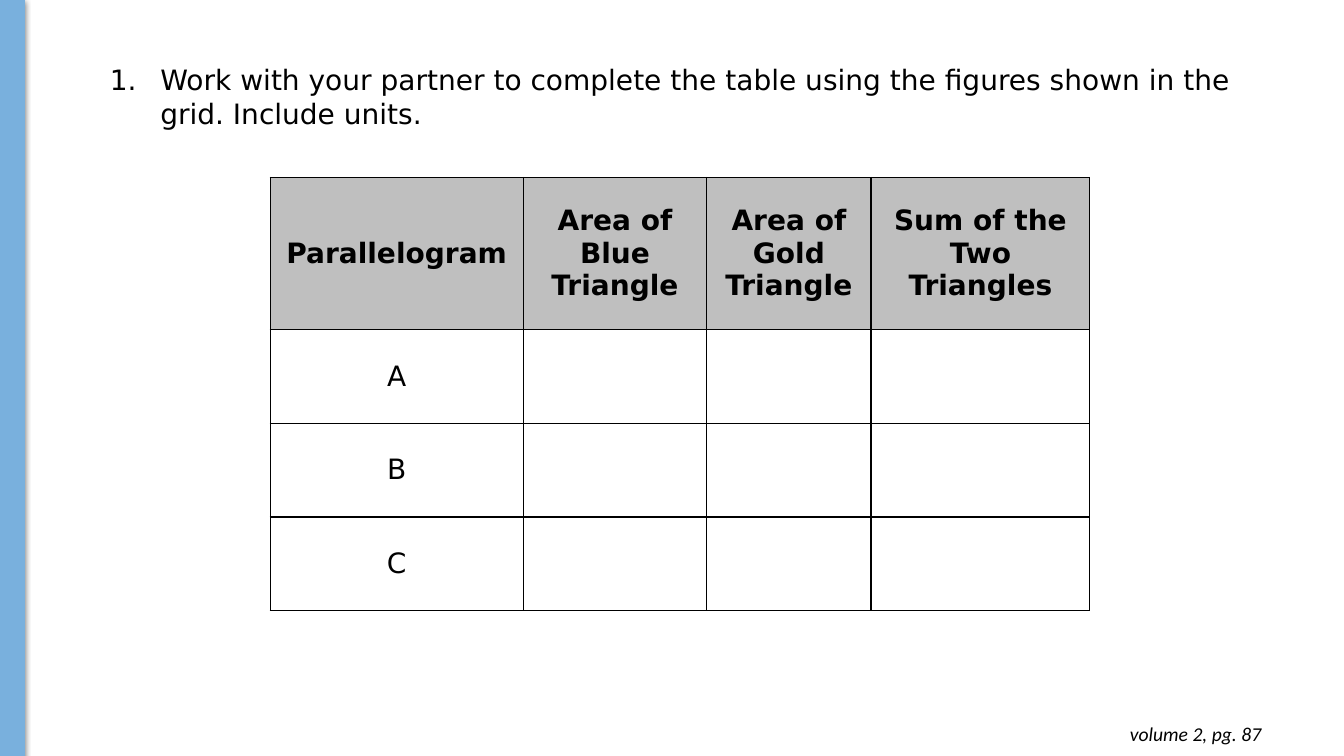
from dataclasses import dataclass

import pptx
import pptx.dml.color
import pptx.enum.shapes
import pptx.enum.text
import pptx.oxml
import pptx.oxml.ns
import pptx.util
from pptx.util import Inches

RGBColor = pptx.dml.color.RGBColor
ALIGN = pptx.enum.text.PP_ALIGN
ANCHOR = pptx.enum.text.MSO_ANCHOR
AUTO_SIZE = pptx.enum.text.MSO_AUTO_SIZE

BLACK = RGBColor(0x00, 0x00, 0x00)
BLUE = RGBColor(0x79, 0xB0, 0xDD)
GREY = RGBColor(0xBF, 0xBF, 0xBF)
NS = pptx.oxml.ns.nsdecls("a")

BODY_FONT = {"name": "DejaVu Sans", "size": pptx.util.Pt(20), "bold": False}
HEADER_FONT = {**BODY_FONT, "bold": True}
SOURCE_FONT = {"name": "Calibri", "size": pptx.util.Pt(14), "italic": True}


@dataclass
class Column:
    heading: str
    width: float
    entries: tuple[str, ...] = ("", "", "")


COLUMNS = [
    Column("Parallelogram", 2.51, ("A", "B", "C")),
    Column("Area of Blue Triangle", 1.82),
    Column("Area of Gold Triangle", 1.63),
    Column("Sum of the Two Triangles", 2.17),
]
ROW_HEIGHTS = [1.51, 0.93, 0.93, 0.93]


def add_xml(parent, xml: str) -> None:
    parent.append(pptx.oxml.parse_xml(xml))


def write(p, text: str, font: dict, align=ALIGN.LEFT) -> None:
    p.alignment = align
    r = p.add_run()
    r.text = text
    for name, value in font.items():
        setattr(r.font, name, value)
    r.font.color.rgb = BLACK


def add_side_bar(s) -> None:
    sp = s.shapes.add_shape(pptx.enum.shapes.MSO_SHAPE.RECTANGLE,
                            0, 0, Inches(0.24), Inches(7.51))
    sp.fill.solid()
    sp.fill.fore_color.rgb = BLUE
    sp.line.color.rgb = BLUE
    sp.line.width = pptx.util.Pt(0.75)
    add_xml(sp.element.spPr,
            f'<a:effectLst {NS}><a:outerShdw blurRad="57150" dist="19050" '
            'dir="5400000" algn="ctr" rotWithShape="0"><a:srgbClr val="000000">'
            '<a:alpha val="50000"/></a:srgbClr></a:outerShdw></a:effectLst>')


def add_task(sp, text: str) -> None:
    sp.left, sp.top = Inches(0.99), Inches(0.57)
    sp.width, sp.height = Inches(11.5), Inches(0.77)
    tf = sp.text_frame
    tf.word_wrap = True
    tf.auto_size = AUTO_SIZE.SHAPE_TO_FIT_TEXT
    tf.vertical_anchor = ANCHOR.TOP
    p = tf.paragraphs[0]
    pPr = p._p.get_or_add_pPr()
    pPr.set("marL", str(Inches(0.5)))
    pPr.set("indent", str(Inches(-0.5)))
    add_xml(pPr, f'<a:buClr {NS}><a:srgbClr val="{BLACK}"/></a:buClr>')
    add_xml(pPr, f'<a:buFont {NS} typeface="DejaVu Sans"/>')
    add_xml(pPr, f'<a:buAutoNum {NS} type="arabicPeriod"/>')
    p.space_before = pptx.util.Pt(0)
    write(p, text, BODY_FONT)


def format_cell(cell, text: str, is_header: bool) -> None:
    margins = {"margin_left": 0.07, "margin_right": 0.07,
               "margin_top": 0, "margin_bottom": 0}
    for name, value in margins.items():
        setattr(cell, name, Inches(value))
    cell.vertical_anchor = ANCHOR.MIDDLE
    tcPr = cell._tc.get_or_add_tcPr()
    for side in "LRTB":
        add_xml(tcPr, f'<a:ln{side} {NS} w="12700"><a:solidFill>'
                      f'<a:srgbClr val="{BLACK}"/></a:solidFill></a:ln{side}>')
    if is_header:
        cell.fill.solid()
        cell.fill.fore_color.rgb = GREY
    else:
        cell.fill.background()
    if text:
        write(cell.text_frame.paragraphs[0], text,
              HEADER_FONT if is_header else BODY_FONT, ALIGN.CENTER)


def add_area_table(s) -> None:
    table = s.shapes.add_table(
        len(ROW_HEIGHTS), len(COLUMNS), Inches(2.68), Inches(1.76),
        Inches(sum(c.width for c in COLUMNS)), Inches(sum(ROW_HEIGHTS))).table
    table.horz_banding = False
    for row, height in zip(table.rows, ROW_HEIGHTS):
        row.height = Inches(height)
    for j, column in enumerate(COLUMNS):
        table.columns[j].width = Inches(column.width)
        for i, text in enumerate((column.heading, *column.entries)):
            format_cell(table.cell(i, j), text, i == 0)


def add_page_reference(s, text: str) -> None:
    tf = s.shapes.add_textbox(Inches(9.73), Inches(7.06),
                              Inches(2.88), Inches(0.44)).text_frame
    tf.word_wrap = True
    tf.auto_size = AUTO_SIZE.SHAPE_TO_FIT_TEXT
    for side in ("left", "right", "top", "bottom"):
        setattr(tf, f"margin_{side}", Inches(0.1))
    write(tf.paragraphs[0], text, SOURCE_FONT, ALIGN.RIGHT)


def main() -> None:
    prs = pptx.Presentation()
    prs.slide_width, prs.slide_height = Inches(13.33), Inches(7.5)
    s = prs.slides.add_slide(prs.slide_layouts[1])

    # The slide has no title
    title = s.shapes.title.element
    title.getparent().remove(title)

    # Side bar and page reference
    add_side_bar(s)
    add_page_reference(s, "volume 2, pg. 87")

    # Numbered task and its table
    add_task(s.placeholders[1], "Work with your partner to complete the table "
             "using the figures shown in the grid. Include units.")
    add_area_table(s)

    prs.save("out.pptx")


if __name__ == "__main__":
    main()
